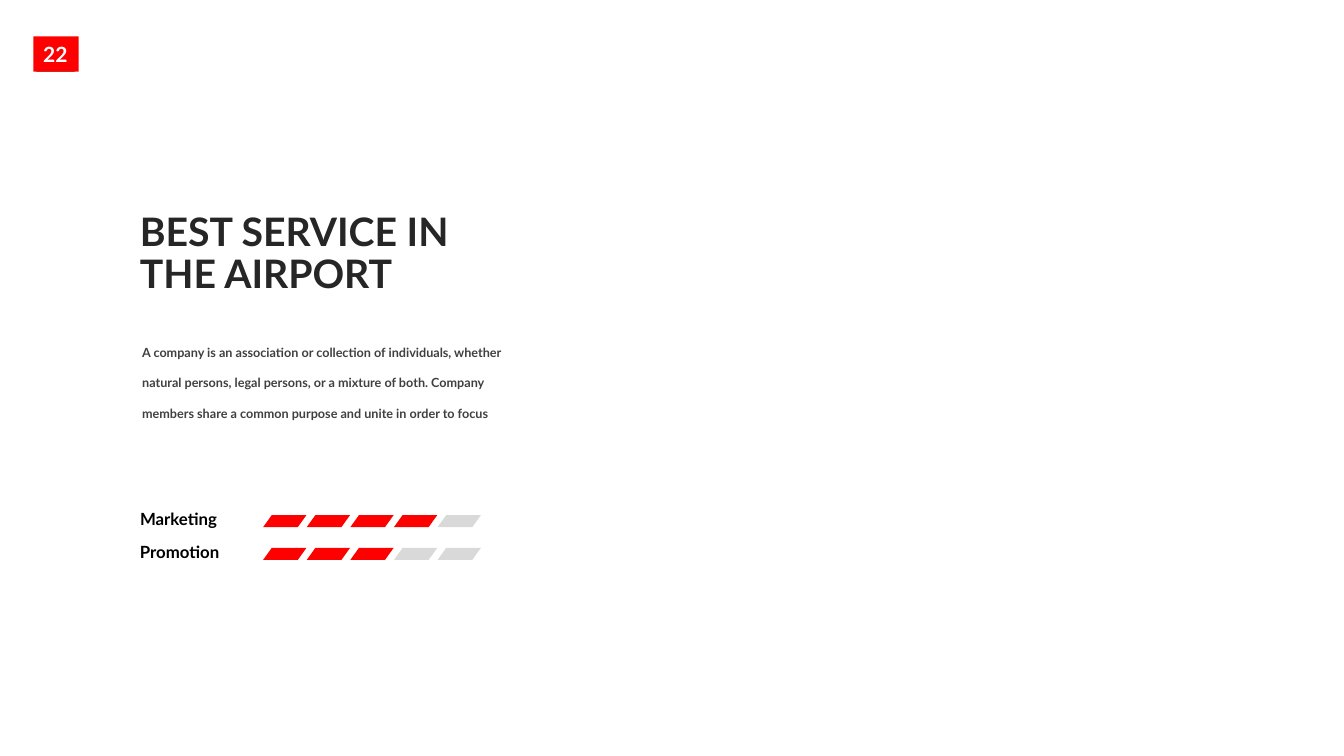
from pptx import Presentation
from pptx.dml.color import RGBColor
from pptx.enum.shapes import MSO_SHAPE
from pptx.enum.text import MSO_ANCHOR, MSO_AUTO_SIZE, PP_ALIGN
from pptx.util import Inches, Pt

# Content
TITLE = "BEST SERVICE IN THE AIRPORT"
BODY = ("A company is an association or collection of individuals, whether "
        "natural persons, legal persons, or a mixture of both. Company "
        "members share a common purpose and unite in order to focus")
PAGE_NUMBER = "22"
RATINGS = [("Marketing", 4, 1.05), ("Promotion", 3, 1.07)]  # label, score, label width
MAX_SCORE = 5

COLORS = {"accent": "FF0000", "empty": "D9D9D9", "dark": "262626",
          "body": "404040", "label": "000000", "white": "FFFFFF"}
FONT = "Lato"

# Rating grid, in inches
LABEL_LEFT, LABEL_TOP = 1.29, 5.0
BAR_LEFT, BAR_TOP = 2.61, 5.11
BAR_WIDTH, BAR_HEIGHT = 0.43, 0.12
BAR_STEP, ROW_STEP = 0.4325, 0.325

FIT = {"word_wrap": False, "auto_size": MSO_AUTO_SIZE.SHAPE_TO_FIT_TEXT}


def color(name):
    return RGBColor.from_string(COLORS[name])


def write(box, text, size, color_name, frame_format, line_spacing=None):
    frame = box.text_frame
    for name, value in frame_format.items():
        setattr(frame, name, value)
    para = frame.paragraphs[0]
    para.alignment = PP_ALIGN.LEFT
    if line_spacing:
        para.line_spacing = line_spacing
    span = para.add_run()
    span.text = text
    for name, value in {"name": FONT, "size": Pt(size), "bold": True}.items():
        setattr(span.font, name, value)
    span.font.color.rgb = color(color_name)


def add_text(page, place, *text_format):
    box = page.shapes.add_textbox(*map(Inches, place))
    write(box, *text_format)


def add_block(page, kind, place, color_name):
    block = page.shapes.add_shape(kind, *map(Inches, place))
    block.shadow.inherit = False
    block.fill.solid()
    block.fill.fore_color.rgb = color(color_name)
    block.line.fill.background()
    return block


def main():
    deck = Presentation()
    deck.slide_width, deck.slide_height = Inches(13.33), Inches(7.5)
    page = deck.slides.add_slide(deck.slide_layouts[6])

    # Ratings: a label and a row of slanted bars
    for row, (label, score, width) in enumerate(RATINGS):
        drop = row * ROW_STEP
        add_text(page, (LABEL_LEFT, LABEL_TOP + drop, width, 0.3),
                 label, 12, "label", FIT)
        for step in range(MAX_SCORE):
            place = (BAR_LEFT + step * BAR_STEP, BAR_TOP + drop, BAR_WIDTH, BAR_HEIGHT)
            add_block(page, MSO_SHAPE.FLOWCHART_DATA, place,
                      "accent" if step < score else "empty")

    # Body text
    margins = ("margin_left", "margin_top", "margin_right", "margin_bottom")
    body_format = {"word_wrap": True, "auto_size": MSO_AUTO_SIZE.SHAPE_TO_FIT_TEXT,
                   **dict.fromkeys(margins, 0)}
    add_text(page, (1.41, 3.27, 3.71, 1.21), BODY, 9, "body", body_format, 2.0)

    # Title
    title_format = {"word_wrap": True, "vertical_anchor": MSO_ANCHOR.MIDDLE}
    add_text(page, (1.29, 1.88, 4.07, 1.29), TITLE, 28, "dark", title_format, 0.9)

    # Page number badge on its dark backing
    add_block(page, MSO_SHAPE.RECTANGLE, (0.36, 0.37, 0.38, 0.34), "dark")
    badge = add_block(page, MSO_SHAPE.RECTANGLE, (0.33, 0.36, 0.45, 0.35), "accent")
    write(badge, PAGE_NUMBER, 15, "white", {**FIT, "vertical_anchor": MSO_ANCHOR.TOP})

    deck.save("out.pptx")


if __name__ == "__main__":
    main()
